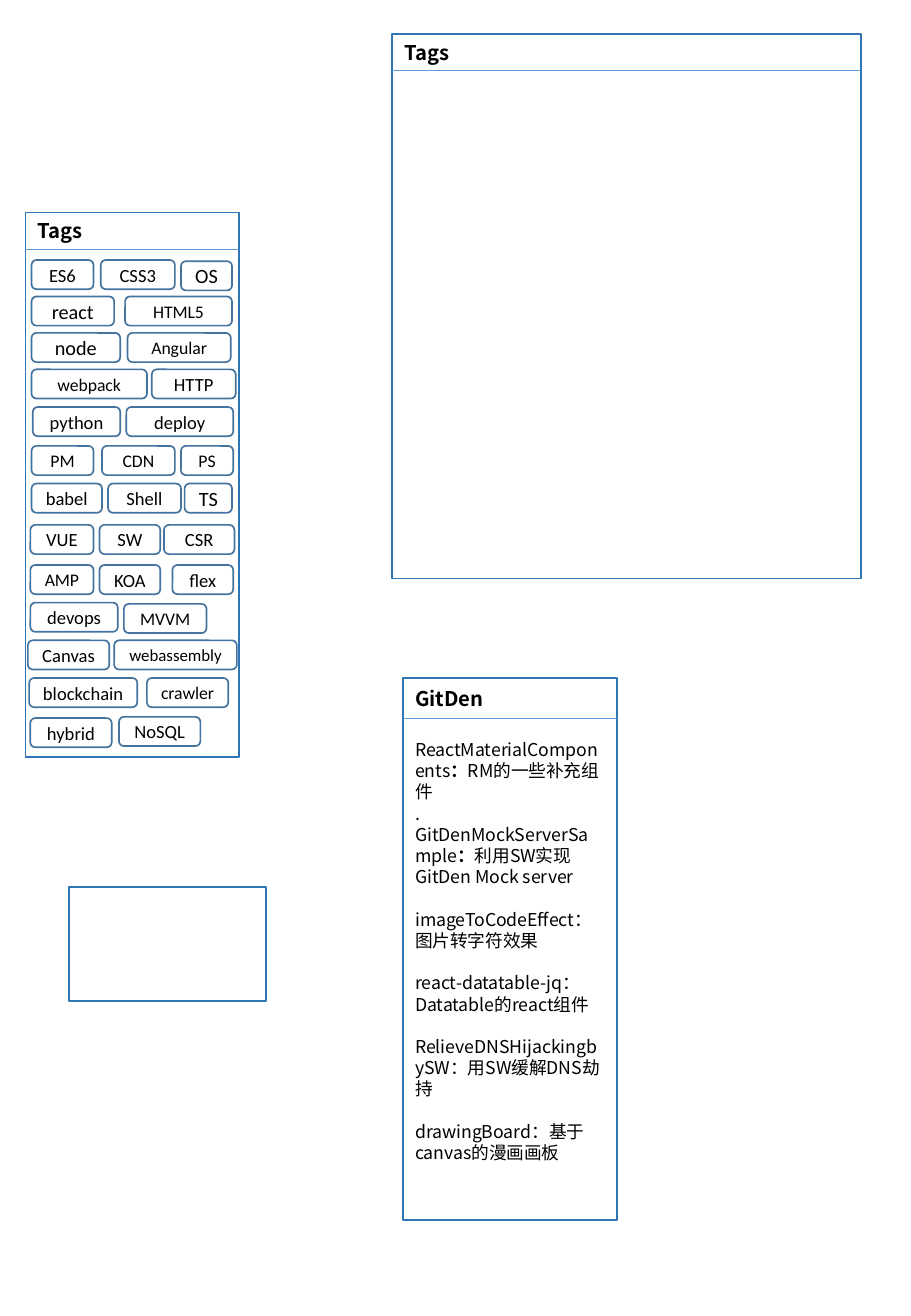
"""Build a portrait slide of tag panels and a repository list."""
from dataclasses import dataclass
from typing import NamedTuple

from lxml.etree import SubElement
from pptx import Presentation
from pptx.dml.color import RGBColor
from pptx.enum.shapes import MSO_CONNECTOR, MSO_SHAPE
from pptx.enum.text import MSO_ANCHOR, PP_ALIGN
from pptx.oxml.ns import qn
from pptx.util import Inches, Pt

BLACK = RGBColor(0x00, 0x00, 0x00)
PANEL_BLUE = RGBColor(0x2E, 0x75, 0xB6)
CHIP_BLUE = RGBColor(0x43, 0x73, 0x9E)
RULE_BLUE = RGBColor(0x5B, 0x9B, 0xD5)
LATIN, CJK = "Calibri", "Noto Sans CJK SC"
COLS, ROWS = 750, 1083
CHIP_ROWS = 24


class Box(NamedTuple):
    """Left, top, width and height in grid cells."""
    left: int
    top: int
    width: int
    height: int


class Chip(NamedTuple):
    """A tag with its column, width in cells, text size and row shift."""
    text: str
    left: int
    width: int
    size: float = 11
    shift: int = 0


@dataclass
class Panel:
    """An outlined box with an optional ruled heading."""
    box: Box
    heading: str = ""
    heading_rows: int = 30


PANELS = [
    Panel(Box(21, 175, 176, 448), "Tags"),
    Panel(Box(323, 28, 386, 448), "Tags"),
    Panel(Box(332, 558, 176, 446), "GitDen", 33),
    Panel(Box(57, 730, 162, 94)),
]
CHIPS = {
    214: [Chip("ES6", 26, 51), Chip("CSS3", 83, 61), Chip("OS", 149, 42, 12, 1)],
    244: [Chip("react", 26, 68, 12), Chip("HTML5", 103, 88, 10.5)],
    274: [Chip("node", 26, 73, 12), Chip("Angular", 105, 85, 10.5)],
    304: [Chip("webpack", 26, 95, 10.5), Chip("HTTP", 125, 69)],
    335: [Chip("python", 27, 72), Chip("deploy", 104, 88)],
    367: [Chip("PM", 26, 51, 10.5), Chip("CDN", 84, 60, 10.5), Chip("PS", 149, 43, 10.5)],
    398: [Chip("babel", 26, 58), Chip("Shell", 89, 60), Chip("TS", 152, 39, 12)],
    432: [Chip("VUE", 25, 52), Chip("SW", 82, 50), Chip("CSR", 135, 58)],
    465: [Chip("AMP", 25, 52, 10.5), Chip("KOA", 82, 50), Chip("flex", 142, 50)],
    496: [Chip("devops", 25, 72), Chip("MVVM", 102, 68, 10.5, 1)],
    527: [Chip("Canvas", 23, 67), Chip("webassembly", 94, 101, 10)],
    558: [Chip("blockchain", 24, 89), Chip("crawler", 121, 67, 10.5)],
    590: [Chip("hybrid", 25, 67, 11, 1), Chip("NoSQL", 98, 67)],
}
REPO_BOX = Box(332, 603, 176, 399)
REPO_GAP = Pt(12.5)
REPOS = [
    (("ReactMaterialComponents", "：", "RM的一些补充组件"), Pt(0)),
    ((". GitDenMockServerSample", "：", "利用SW实现GitDen Mock server"), REPO_GAP),
    (("imageToCodeEffect：图片转字符效果",), REPO_GAP),
    (("react-datatable-jq：Datatable的react组件",), REPO_GAP),
    (("RelieveDNSHijackingbySW：用SW缓解DNS劫持",), REPO_GAP),
    (("drawingBoard：基于canvas的漫画画板",), Pt(0)),
]

prs = Presentation()
prs.slide_width, prs.slide_height = Inches(7.5), Inches(10.83)
s = prs.slides.add_slide(prs.slide_layouts[6])
COL, ROW = prs.slide_width / COLS, prs.slide_height / ROWS


def place(box: Box) -> tuple[int, int, int, int]:
    """Turn grid cells into slide lengths."""
    return (round(box.left * COL), round(box.top * ROW),
            round(box.width * COL), round(box.height * ROW))


def add_run(p, text: str, size: float, font: str, bold: bool = False) -> None:
    """Append formatted text for Latin and East Asian glyphs."""
    r = p.add_run()
    r.text = text
    for name, value in {"size": Pt(size), "name": font, "bold": bold}.items():
        setattr(r.font, name, value)
    r.font.color.rgb = BLACK
    SubElement(r.font._element, qn("a:ea"), typeface=font)


def add_outline(kind: MSO_SHAPE, box: Box, color: RGBColor):
    """Draw an unfilled preset shape."""
    sp = s.shapes.add_shape(kind, *place(box))
    sp.shadow.inherit = False
    sp.fill.background()
    sp.line.color.rgb = color
    sp.line.width = Pt(1)
    return sp


def add_text_frame(box: Box, anchor: MSO_ANCHOR):
    """Add a wrapping text box and return its frame."""
    tf = s.shapes.add_textbox(*place(box)).text_frame
    tf.word_wrap = True
    tf.vertical_anchor = anchor
    return tf


def draw_panel(panel: Panel) -> None:
    """Draw a panel, its heading and the rule below it."""
    box = panel.box
    add_outline(MSO_SHAPE.RECTANGLE, box, PANEL_BLUE)
    if not panel.heading:
        return
    header = box._replace(height=panel.heading_rows)
    tf = add_text_frame(header, MSO_ANCHOR.MIDDLE)
    add_run(tf.paragraphs[0], panel.heading, 12, CJK, True)
    left, top, width, height = place(header)
    rule = s.shapes.add_connector(
        MSO_CONNECTOR.STRAIGHT, left, top + height, left + width, top + height)
    rule.line.color.rgb = RULE_BLUE
    rule.line.width = Pt(0.5)
    SubElement(rule._element.spPr, qn("a:effectLst"))


def draw_chip(chip: Chip, top: int) -> None:
    """Draw one rounded tag."""
    box = Box(chip.left, top + chip.shift, chip.width, CHIP_ROWS)
    tf = add_outline(MSO_SHAPE.ROUNDED_RECTANGLE, box, CHIP_BLUE).text_frame
    frame = {"margin_left": 0, "margin_right": 0, "word_wrap": True,
             "vertical_anchor": MSO_ANCHOR.MIDDLE}
    for name, value in frame.items():
        setattr(tf, name, value)
    p = tf.paragraphs[0]
    p.alignment = PP_ALIGN.CENTER
    add_run(p, chip.text, chip.size, LATIN)


def draw_repos() -> None:
    """List the repositories with their descriptions."""
    tf = add_text_frame(REPO_BOX, MSO_ANCHOR.TOP)
    for i, (parts, gap) in enumerate(REPOS):
        p = tf.add_paragraph() if i else tf.paragraphs[0]
        p.space_after = gap
        for part in parts:
            add_run(p, part, 10.5, CJK, part == "：")


for panel in PANELS:
    draw_panel(panel)
for top, chips in CHIPS.items():
    for chip in chips:
        draw_chip(chip, top)
draw_repos()
prs.save("out.pptx")
